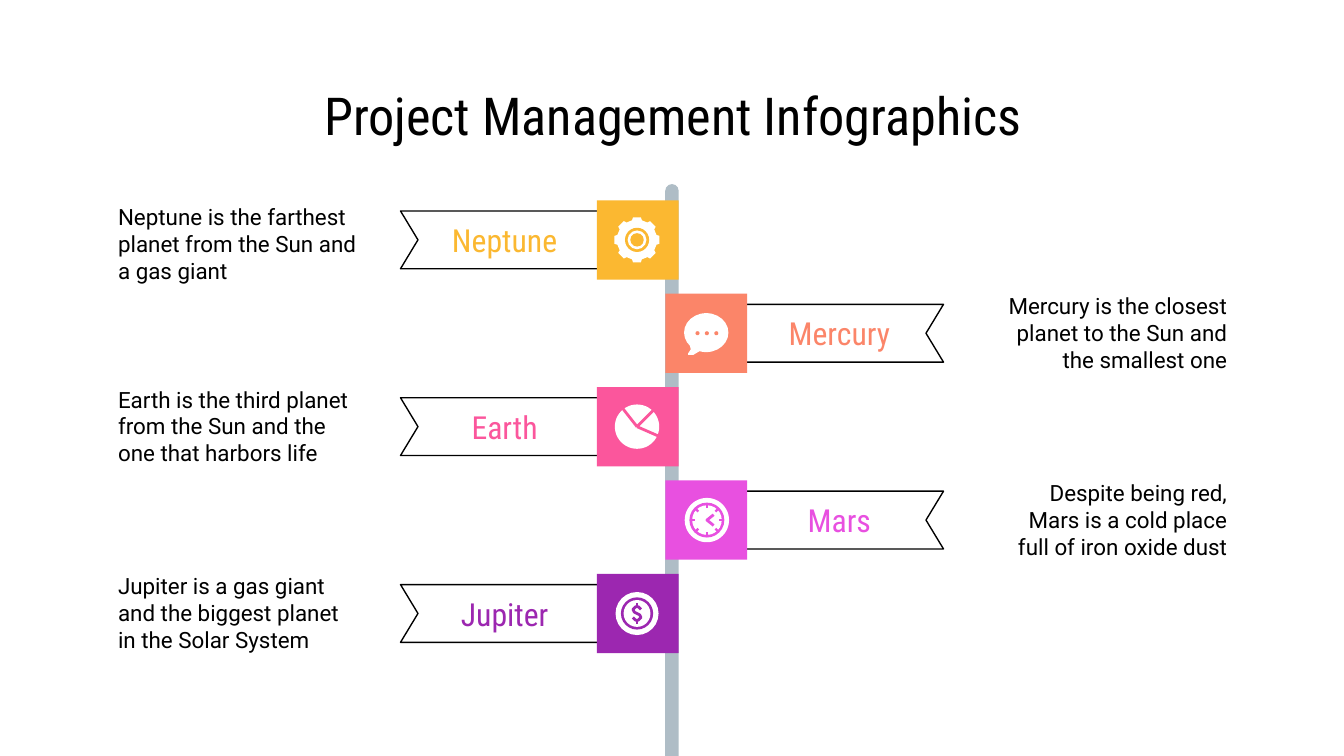
"""Build a signpost slide with five planet banners."""
from dataclasses import dataclass
from math import cos, radians, sin
from typing import Callable

from lxml import etree
from pptx import Presentation, util as u
from pptx.dml.color import RGBColor
from pptx.enum import shapes as kinds, text as t

HUES = {
    "white": "FFFFFF", "black": "000000", "post": "AFBDC6",
    "gold": "FBB831", "coral": "FB8569", "pink": "FB569C",
    "orchid": "E850E0", "violet": "9C27B0",
}
SHAPE = kinds.MSO_SHAPE
ALIGN = t.PP_ALIGN
HEAD, BODY = "Roboto Condensed", "Roboto"
TOP, LAST = 1.49, 4.27
TAG_W, TAG_H = 0.61, 0.59
MID = 5.0
Spot = tuple[float, float]


@dataclass
class Sign:
    name: str
    note: str
    hue: str
    icon: Callable
    shift: float = 0


def tint(hue: str) -> RGBColor:
    return RGBColor.from_string(HUES[hue])


def style(shape, fill: str | None = None, line: str | None = None, width: float = 0.75) -> None:
    shape.shadow.inherit = False
    if fill:
        shape.fill.solid()
        shape.fill.fore_color.rgb = tint(fill)
    else:
        shape.fill.background()
    if line:
        shape.line.color.rgb = tint(line)
        shape.line.width = u.Pt(width)
    else:
        shape.line.fill.background()


def write(frame, words: str, *, size: float, font: str, hue: str = "black", align=ALIGN.CENTER) -> None:
    frame.text = words
    frame.word_wrap = True
    frame.auto_size = t.MSO_AUTO_SIZE.NONE
    frame.vertical_anchor = t.MSO_ANCHOR.MIDDLE
    for side in ("left", "right", "top", "bottom"):
        setattr(frame, f"margin_{side}", u.Inches(0.1))
    line = frame.paragraphs[0]
    line.alignment = align
    for run in line.runs:
        run.font.size, run.font.name = u.Pt(size), font
        run.font.color.rgb = tint(hue)


def block(slide, kind, x: float, y: float, w: float, h: float, fill: str):
    shape = slide.shapes.add_shape(kind, *map(u.Inches, (x, y, w, h)))
    style(shape, fill)
    return shape


def disc(slide, x: float, y: float, r: float, fill: str) -> None:
    block(slide, SHAPE.OVAL, x - r, y - r, 2 * r, 2 * r, fill)


def rings(slide, x: float, y: float, sizes: tuple, fills: tuple) -> None:
    for r, fill in zip(sizes, fills):
        disc(slide, x, y, r, fill)


def trace(slide, x: float, y: float, spots: list[Spot], close: bool = True, **look):
    dots = [(u.Inches(x + dx), u.Inches(y + dy)) for dx, dy in spots]
    pen = slide.shapes.build_freeform(*dots[0])
    pen.add_line_segments(dots[1:], close=close)
    shape = pen.convert_to_shape()
    style(shape, **look)
    return shape


def stroke(slide, x: float, y: float, start: Spot, end: Spot, hue: str, width: float) -> None:
    ends = (x + start[0], y + start[1], x + end[0], y + end[1])
    line = slide.shapes.add_connector(kinds.MSO_CONNECTOR.STRAIGHT, *map(u.Inches, ends))
    line.line.color.rgb = tint(hue)
    line.line.width = u.Pt(width)
    props = line.element.spPr
    etree.SubElement(props, "{http://schemas.openxmlformats.org/drawingml/2006/main}effectLst")


def polar(r: float, angle: float) -> Spot:
    return r * cos(radians(angle)), r * sin(radians(angle))


def gear(slide, x: float, y: float, hue: str) -> None:
    tooth = ((0.15, -14), (0.17, -10), (0.17, 10), (0.15, 14))
    spots = [polar(r, turn + a) for turn in range(0, 360, 45) for r, a in tooth]
    trace(slide, x, y, spots, fill="white")
    rings(slide, x, y, (0.09, 0.07, 0.05), (hue, "white", hue))


def chat(slide, x: float, y: float, hue: str) -> None:
    block(slide, SHAPE.OVAL, x - 0.17, y - 0.15, 0.33, 0.29, "white")
    tail = [(-0.13, 0.08), (-0.12, 0.12), (-0.14, 0.15), (-0.14, 0.16), (-0.1, 0.16), (-0.05, 0.13)]
    trace(slide, x, y, tail, fill="white")
    for gap in (-0.07, 0, 0.07):
        disc(slide, x + gap, y, 0.015, hue)


def pie(slide, x: float, y: float, hue: str) -> None:
    disc(slide, x, y, 0.165, "white")
    for end in ((-0.11, -0.14), (0.12, -0.12), (0.16, 0.07)):
        stroke(slide, x, y, (0, 0), end, hue, 1.5)


def clock(slide, x: float, y: float, hue: str) -> None:
    rings(slide, x, y, (0.165, 0.13, 0.11), ("white", hue, "white"))
    for angle in range(0, 360, 45):
        stroke(slide, x, y, polar(0.09, angle), polar(0.12, angle), hue, 1.25)
    trace(slide, x, y, [(0.05, -0.04), (0, 0), (0.05, 0.04)], close=False, line=hue, width=1.5)


def coin(slide, x: float, y: float, hue: str) -> None:
    rings(slide, x, y, (0.16, 0.12, 0.1), ("white", hue, "white"))
    half = [(0.03, -0.03), (0.01, -0.05), (-0.01, -0.05), (-0.03, -0.03), (-0.02, -0.01)]
    curve = half + [(-dx, -dy) for dx, dy in reversed(half)]
    trace(slide, x, y, curve, close=False, line=hue, width=1.5)
    for way in (-1, 1):
        stroke(slide, x, y, (0, way * 0.05), (0, way * 0.08), hue, 1.5)


def draw(slide, sign: Sign, row: int) -> None:
    right = row % 2 == 1
    way = 1 if right else -1
    top = TOP + (LAST - TOP) / (len(SIGNS) - 1) * row
    edge = [(0.47, 0.51), (2.02, 0.51), (1.89, 0.295), (2.02, 0.08), (0.47, 0.08)]
    flag = trace(slide, MID, top, [(way * dx, dy) for dx, dy in edge], line="black")
    write(flag.text_frame, sign.name, size=17, font=HEAD, hue=sign.hue)
    left = MID - 0.05 if right else MID + 0.05 - TAG_W
    block(slide, SHAPE.RECTANGLE, left, top, TAG_W, TAG_H, sign.hue)
    sign.icon(slide, MID + way * 0.26, top + TAG_H / 2, sign.hue)
    place = (7.25 if right else 0.78, top + sign.shift, 1.98, 0.58)
    box = slide.shapes.add_textbox(*map(u.Inches, place))
    write(box.text_frame, sign.note, size=12, font=BODY, align=ALIGN.RIGHT if right else ALIGN.LEFT)


SIGNS = [
    Sign("Neptune", "Neptune is the farthest planet from the Sun and a gas giant", "gold", gear, 0.03),
    Sign("Mercury", "Mercury is the closest planet to the Sun and the smallest one", "coral", chat),
    Sign("Earth", "Earth is the third planet from the Sun and the one that harbors life", "pink", pie),
    Sign("Mars", "Despite being red,\vMars is a cold place\vfull of iron oxide dust", "orchid", clock),
    Sign("Jupiter", "Jupiter is a gas giant and the biggest planet in the Solar System", "violet", coin),
]


def main() -> None:
    deck = Presentation()
    deck.slide_width = u.Inches(10)
    deck.slide_height = u.Inches(10 * 9 / 16)
    slide = deck.slides.add_slide(deck.slide_layouts[5])
    title = slide.shapes.title
    title.left, title.top, title.width, title.height = map(u.Inches, (0.78, 0.59, 8.45, 0.53))
    write(title.text_frame, "Project Management Infographics", size=28, font=HEAD)
    post = block(slide, SHAPE.ROUND_2_SAME_RECTANGLE, MID - 0.05, 1.37, 0.1, 4.26, "post")
    post.adjustments[0] = 0.5
    for row, sign in enumerate(SIGNS):
        draw(slide, sign, row)
    deck.save("out.pptx")


if __name__ == "__main__":
    main()
